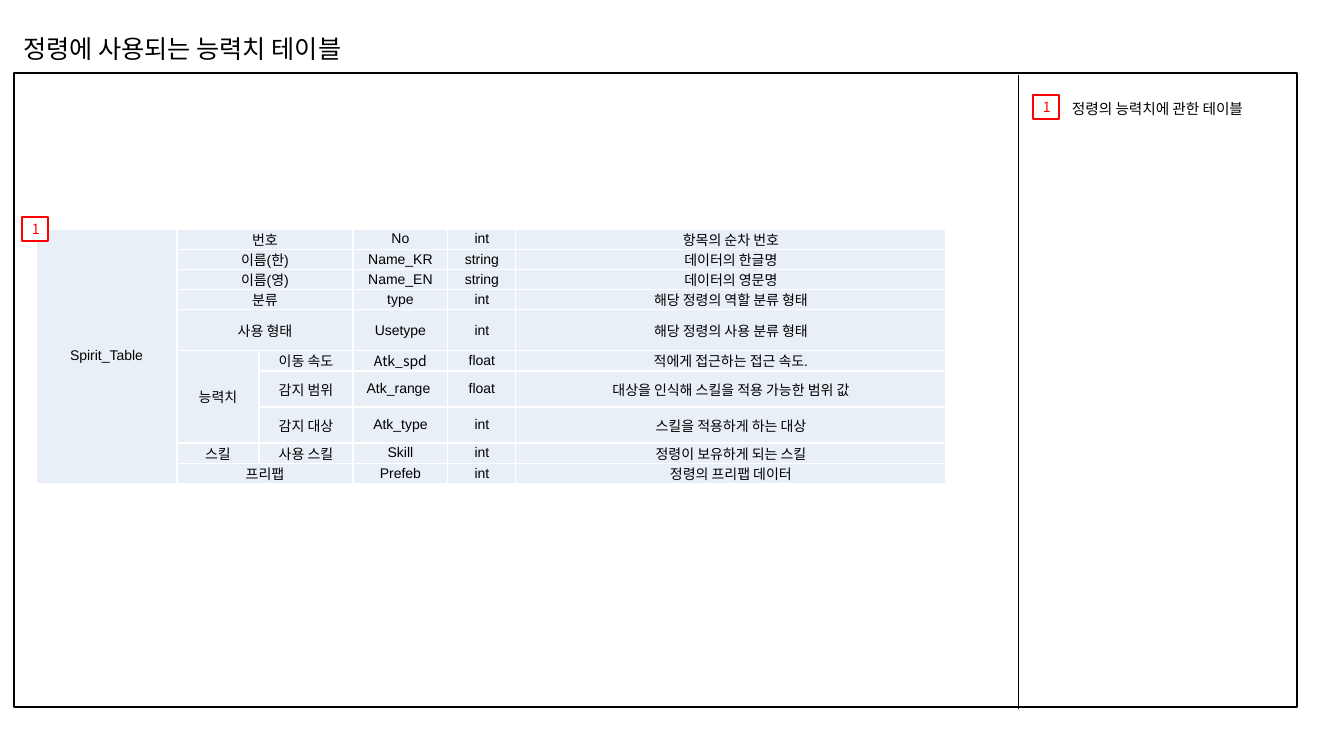
from lxml.etree import SubElement
from pptx import Presentation
from pptx.dml.color import RGBColor
from pptx.enum.shapes import MSO_CONNECTOR as Line, MSO_SHAPE as Shape
from pptx.enum.text import MSO_ANCHOR as Anchor, PP_ALIGN as Align
from pptx.oxml.ns import qn
from pptx.util import Pt

PX = 914400 / 100.8
NOTO = "Noto Sans CJK KR"
BLACK, RED, WHITE, PALE = "000000", "FF0000", "FFFFFF", "E9EFF7"


def px(*nums):
    return [round(n * PX) for n in nums]


def write(frame, text, size=10, color=BLACK, font=NOTO, align=Align.CENTER, anchor=Anchor.MIDDLE, pad=(10, 5)):
    frame.word_wrap = True
    frame.vertical_anchor = anchor
    frame.margin_left = frame.margin_right = px(pad[0])[0]
    frame.margin_top = frame.margin_bottom = px(pad[1])[0]
    para = frame.paragraphs[0]
    para.alignment = align
    run = para.add_run()
    run.text = text
    run.font.size = Pt(size)
    run.font.name = font
    run.font.color.rgb = RGBColor.from_string(color)
    SubElement(run.font._element, qn("a:ea"), typeface=NOTO)


prs = Presentation()
prs.slide_width, prs.slide_height = px(1344, 756)
slide = prs.slides.add_slide(prs.slide_layouts[5])
shapes = slide.shapes

title = shapes.title
title.left, title.top, title.width, title.height = px(13, 28, 378, 40)
write(title.text_frame, "정령에 사용되는 능력치 테이블", size=18, align=Align.LEFT, anchor=Anchor.TOP)

rows = [
    ("Spirit_Table", "번호", "", "No", "int", "항목의 순차 번호"),
    ("", "이름(한)", "", "Name_KR", "string", "데이터의 한글명"),
    ("", "이름(영)", "", "Name_EN", "string", "데이터의 영문명"),
    ("", "분류", "", "type", "int", "해당 정령의 역할 분류 형태"),
    ("", "사용 형태", "", "Usetype", "int", "해당 정령의 사용 분류 형태"),
    ("", "능력치", "이동 속도", "Atk_spd", "float", "적에게 접근하는 접근 속도."),
    ("", "", "감지 범위", "Atk_range ", "float", "대상을 인식해 스킬을 적용 가능한 범위 값"),
    ("", "", "감지 대상", "Atk_type", "int", "스킬을 적용하게 하는 대상"),
    ("", "스킬", "사용 스킬", "Skill", "int", "정령이 보유하게 되는 스킬"),
    ("", "프리팹", "", "Prefeb", "int", "정령의 프리팹 데이터"),
]
widths = px(141, 82, 94, 95, 68, 430)
heights = px(20, 20, 20, 20, 41, 20, 36, 36, 20, 20)
table = shapes.add_table(len(rows), len(widths), *px(36, 229, 910, 257)).table
table.first_row = table.horz_banding = False
for col, width in zip(table.columns, widths):
    col.width = width
for row, height in zip(table.rows, heights):
    row.height = height

table.cell(0, 0).merge(table.cell(9, 0))
table.cell(5, 1).merge(table.cell(7, 1))
for r in (0, 1, 2, 3, 4, 9):
    table.cell(r, 1).merge(table.cell(r, 2))

for r, row in enumerate(rows):
    for c, text in enumerate(row):
        cell = table.cell(r, c)
        props = cell._tc.get_or_add_tcPr()
        for side in ("a:lnL", "a:lnR", "a:lnT", "a:lnB"):
            edge = SubElement(props, qn(side), w=str(Pt(1)))
            SubElement(SubElement(edge, qn("a:solidFill")), qn("a:srgbClr"), val=WHITE)
        cell.fill.solid()
        cell.fill.fore_color.rgb = RGBColor.from_string(PALE)
        cell.vertical_anchor = Anchor.MIDDLE
        cell.margin_left = cell.margin_right = cell.margin_top = cell.margin_bottom = 0
        if text:
            font = NOTO if text == "Atk_spd" else "Arial"
            write(cell.text_frame, text, font=font, pad=(0, 0))

frame = shapes.add_shape(Shape.RECTANGLE, *px(14, 73, 1283, 634))
frame.shadow.inherit = False
frame.fill.background()
frame.line.color.rgb = RGBColor.from_string(BLACK)
frame.line.width = Pt(1)

split = shapes.add_connector(Line.STRAIGHT, *px(1019, 75, 1019, 709))
split.line.color.rgb = RGBColor.from_string(BLACK)
split.line.width = Pt(0.75)
SubElement(split._element.spPr, qn("a:effectLst"))

for left, top in ((1033, 95), (22, 217)):
    mark = shapes.add_shape(Shape.RECTANGLE, *px(left, top, 26, 24))
    mark.shadow.inherit = False
    mark.fill.solid()
    mark.fill.fore_color.rgb = RGBColor.from_string(WHITE)
    mark.line.color.rgb = RGBColor.from_string(RED)
    mark.line.width = Pt(1)
    write(mark.text_frame, "1", color=RED)

note = shapes.add_textbox(*px(1062, 95, 229, 28))
write(note.text_frame, "정령의 능력치에 관한 테이블", size=10.5, align=Align.LEFT, anchor=Anchor.TOP)

prs.save("out.pptx")
